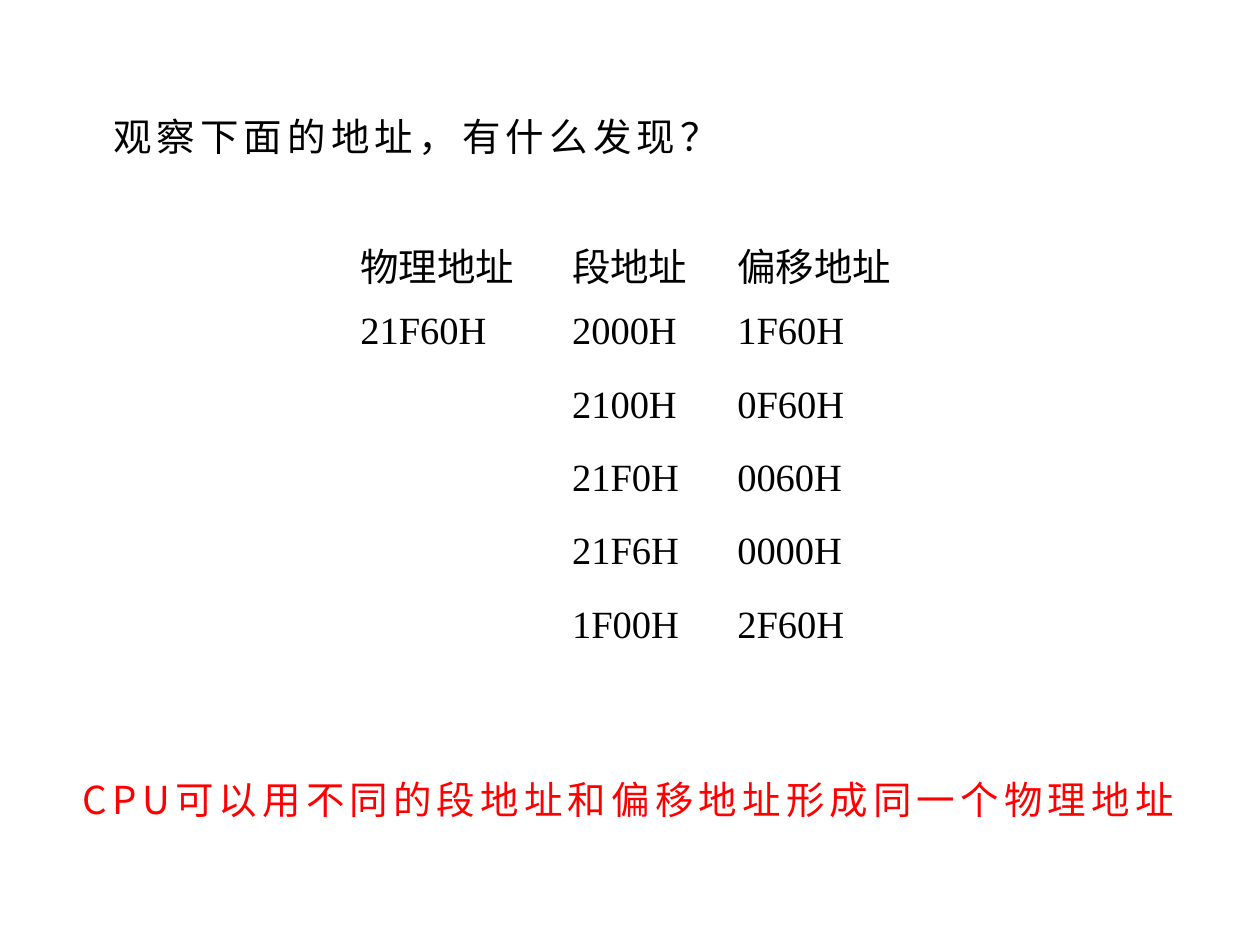
from lxml.etree import SubElement
from pptx import Presentation
from pptx.dml.color import RGBColor
from pptx.enum.text import MSO_AUTO_SIZE
from pptx.oxml.ns import qn
from pptx.util import Cm, Pt

SANS = "Noto Sans CJK SC"
SERIF = "Times New Roman"


def color(value):
    return RGBColor.from_string(value)


def write(paragraph, text, latin, fill="000000", spacing=None):
    """Add a 22 pt span, with Chinese characters in the sans font."""
    span = paragraph.add_run()
    span.text = text
    for name, value in {"name": latin, "size": Pt(22), "bold": False}.items():
        setattr(span.font, name, value)
    span.font.color.rgb = color(fill)
    properties = span.font._element
    SubElement(properties, qn("a:ea"), typeface=SANS)
    if spacing:
        properties.set("spc", str(spacing * 100))


deck = Presentation()
deck.slide_width, deck.slide_height = Cm(25.4), Cm(19.05)
page = deck.slides.add_slide(deck.slide_layouts[6])

# Question above the table, conclusion below it
statements = [
    (2.03, 1.68, "观察下面的地址，有什么发现？", "000000"),
    (1.42, 15.06, "CPU可以用不同的段地址和偏移地址形成同一个物理地址", "FF0000"),
]
for left, top, text, fill in statements:
    box = page.shapes.add_textbox(Cm(left), Cm(top), Cm(22.53), Cm(1.45))
    frame = box.text_frame
    frame.word_wrap = True
    frame.auto_size = MSO_AUTO_SIZE.SHAPE_TO_FIT_TEXT
    paragraph = frame.paragraphs[0]
    paragraph.line_spacing = 1.5
    write(paragraph, text, SANS, fill, spacing=3)

# Segment and offset pairs for one physical address
addresses = [
    ("物理地址", "段地址", "偏移地址"),
    ("21F60H", "2000H", "1F60H"),
    ("", "2100H", "0F60H"),
    ("", "21F0H", "0060H"),
    ("", "21F6H", "0000H"),
    ("", "1F00H", "2F60H"),
]
column_widths = [4.27, 3.33, 3.81]
row_height = 1.48
table = page.shapes.add_table(
    len(addresses), len(column_widths), Cm(7.01), Cm(4.65),
    Cm(sum(column_widths)), Cm(row_height * len(addresses)),
).table
table.first_row = table.horz_banding = False
for column, width in zip(table.columns, column_widths):
    column.width = Cm(width)
for row, values in zip(table.rows, addresses):
    row.height = Cm(row_height)
    for cell, text in zip(row.cells, values):
        cell.fill.background()
        if text:
            write(cell.text_frame.paragraphs[0], text, SERIF)

deck.save("out.pptx")
